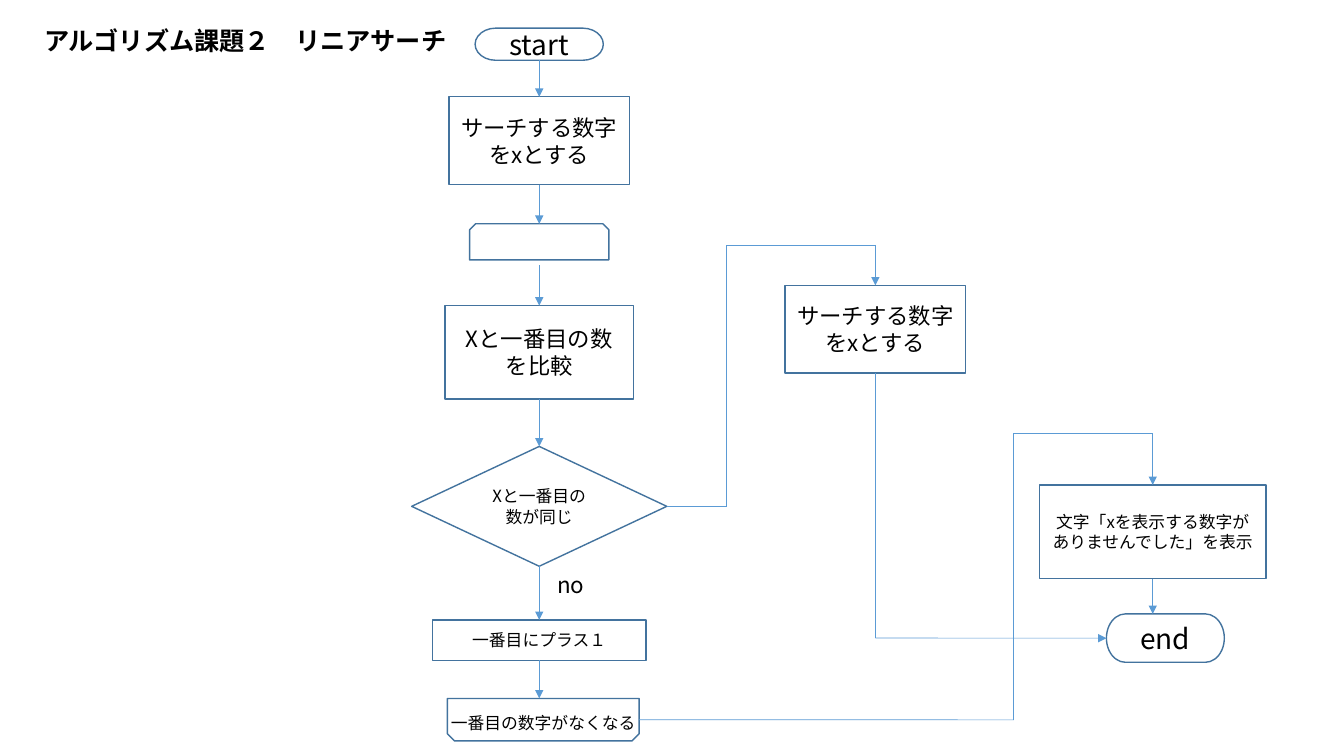
from lxml import etree
from pptx import Presentation
from pptx.dml.color import RGBColor
from pptx.enum.shapes import MSO_CONNECTOR, MSO_SHAPE
from pptx.enum.text import MSO_ANCHOR, MSO_AUTO_SIZE, PP_ALIGN
from pptx.oxml.ns import qn
from pptx.util import Cm, Pt

TERM = MSO_SHAPE.FLOWCHART_TERMINATOR
STEP = MSO_SHAPE.FLOWCHART_PROCESS
TEST = MSO_SHAPE.FLOWCHART_DECISION
SNIP = MSO_SHAPE.SNIP_2_SAME_RECTANGLE
STRAIGHT = MSO_CONNECTOR.STRAIGHT
LEFT, CENTER = PP_ALIGN.LEFT, PP_ALIGN.CENTER
MIDDLE = MSO_ANCHOR.MIDDLE
GROW = MSO_AUTO_SIZE.SHAPE_TO_FIT_TEXT
TOP_SIDE, LEFT_SIDE, BOTTOM, RIGHT = range(4)

FONT = "Noto Sans CJK JP"
COLORS = {"fill": "FFFFFF", "edge": "43739E", "link": "5B9BD5", "text": "000000"}

# Centre lines of the three columns
MAIN, FOUND, MISS = 13.59, 22.06, 29.05

# name: preset, text, size, centre x, top, width, height
BOXES = {
    "start": (TERM, "start", 20, MAIN, 0.71, 3.23, 0.81),
    "read": (STEP, "サーチする数字をxとする", 16, MAIN, 2.44, 4.55, 2.21),
    "loop": (SNIP, "", 12, MAIN, 5.64, 3.51, 0.91),
    "compare": (STEP, "Xと一番目の数を比較", 16, MAIN, 7.7, 4.75, 2.36),
    "same": (TEST, "Xと一番目の数が同じ", 12, MAIN, 11.25, 6.43, 3.02),
    "plus": (STEP, "一番目にプラス１", 12, MAIN, 15.62, 5.38, 1.02),
    "until": (SNIP, "", 12, 13.69, 17.6, 4.83, 1.07),
    "found": (STEP, "サーチする数字をxとする", 16, FOUND, 7.19, 4.55, 2.21),
    "missing": (STEP, "文字「xを表示する数字がありませんでした」を表示", 12,
                MISS, 12.22, 5.72, 2.36),
    "end": (TERM, "end", 20, 29.37, 15.47, 2.97, 1.22),
}

# text, left, top, width, height, wrap, format
LABELS = [
    ("アルゴリズム課題２　リニアサーチ", 0.86, 0.51, 10.87, 1.02, False,
     {"size": 18, "bold": True}),
    ("no", 13.79, 14.27, 1.55, 0.94, True, {"size": 16}),
    ("一番目の数字がなくなる", 10.92, 17.83, 5.54, 0.76, True,
     {"size": 12, "align": CENTER}),
]

# Each path runs through (box, side) or (x, y) points and ends in an arrow
PATHS = [
    [("start", BOTTOM), ("read", TOP_SIDE)],
    [("read", BOTTOM), (MAIN, 5.64)],
    [(MAIN, 6.68), ("compare", TOP_SIDE)],
    [("compare", BOTTOM), ("same", TOP_SIDE)],
    [("same", BOTTOM), ("plus", TOP_SIDE)],
    [("plus", BOTTOM), (MAIN, 17.6)],
    [("same", RIGHT), (18.31, 12.76), (18.31, 6.17), (FOUND, 6.17),
     ("found", TOP_SIDE)],
    [("found", BOTTOM), (FOUND, 16.08), ("end", LEFT_SIDE)],
    [("until", RIGHT), (25.55, 18.14), (25.55, 10.92), (MISS, 10.92),
     ("missing", TOP_SIDE)],
    [("missing", BOTTOM), (MISS, 15.47)],
]


def color(name):
    return RGBColor.from_string(COLORS[name])


def write(frame, text, size=12, bold=False, align=LEFT):
    para = frame.paragraphs[0]
    para.alignment = align
    run = para.add_run()
    run.text = text
    font = run.font
    font.name, font.size, font.bold = FONT, Pt(size), bold
    font.color.rgb = color("text")
    east = etree.SubElement(run._r.get_or_add_rPr(), qn("a:ea"))
    east.set("typeface", FONT)


def add_box(slide, preset, text, size, mid, top, width, height):
    box = slide.shapes.add_shape(
        preset, Cm(mid - width / 2), Cm(top), Cm(width), Cm(height))
    box.shadow.inherit = False
    box.fill.solid()
    box.fill.fore_color.rgb = color("fill")
    box.line.color.rgb = color("edge")
    box.line.width = Pt(1)
    if text:
        box.text_frame.word_wrap = True
        box.text_frame.vertical_anchor = MIDDLE
        write(box.text_frame, text, size=size, align=CENTER)
    return box


def locate(point):
    """Return the x and y in cm of a free point or a box side's middle."""
    if point[0] not in BOXES:
        return point
    name, side = point
    mid, top, width, height = BOXES[name][3:]
    return {
        TOP_SIDE: (mid, top),
        LEFT_SIDE: (mid - width / 2, top + height / 2),
        BOTTOM: (mid, top + height),
        RIGHT: (mid + width / 2, top + height / 2),
    }[side]


def add_link(slide, boxes, start, stop, arrow):
    ends = [Cm(v) for v in (*locate(start), *locate(stop))]
    link = slide.shapes.add_connector(STRAIGHT, *ends)
    link.line.color.rgb = color("link")
    link.line.width = Pt(0.5)
    for point, join in ((start, link.begin_connect), (stop, link.end_connect)):
        # Snipped boxes number their sides differently, so they stay unjoined
        if point[0] in boxes and BOXES[point[0]][0] != SNIP:
            join(boxes[point[0]], point[1])
    if arrow:
        tail = etree.SubElement(link.line._get_or_add_ln(), qn("a:tailEnd"))
        tail.set("type", "triangle")
    etree.SubElement(link._element.spPr, qn("a:effectLst"))


def main():
    deck = Presentation()
    deck.slide_width, deck.slide_height = Cm(33.87), Cm(19.05)
    slide = deck.slides.add_slide(deck.slide_layouts[6])

    boxes = {name: add_box(slide, *data) for name, data in BOXES.items()}
    boxes["until"].rotation = 180

    for path in PATHS:
        for start, stop in zip(path, path[1:]):
            add_link(slide, boxes, start, stop, stop is path[-1])

    for text, left, top, width, height, wrap, form in LABELS:
        label = slide.shapes.add_textbox(Cm(left), Cm(top), Cm(width), Cm(height))
        label.text_frame.word_wrap = wrap
        label.text_frame.auto_size = GROW
        write(label.text_frame, text, **form)

    deck.save("out.pptx")


if __name__ == "__main__":
    main()
